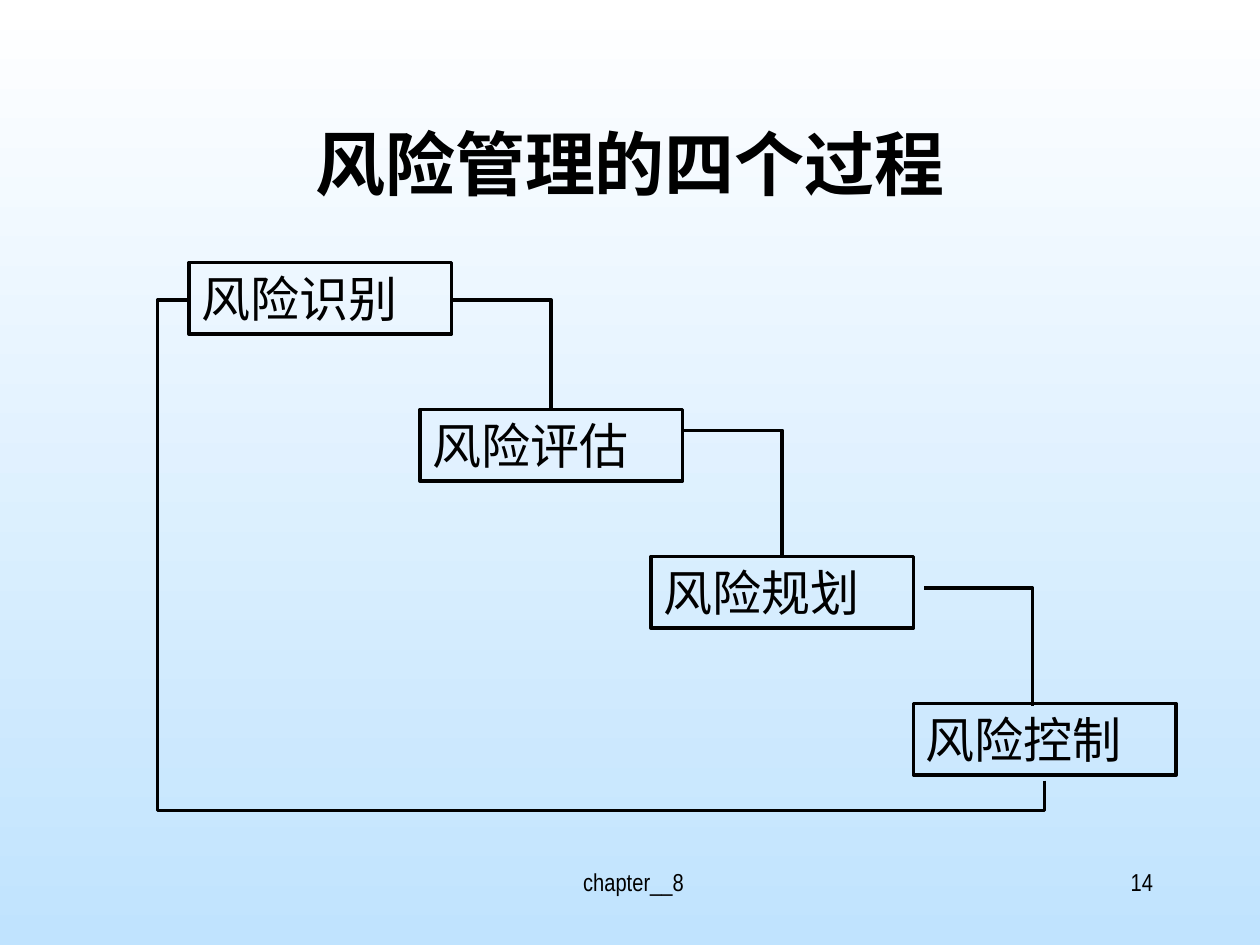
from dataclasses import dataclass

import pptx
import pptx.dml.color
import pptx.enum.shapes
import pptx.enum.text
import pptx.oxml
import pptx.oxml.ns
import pptx.util

Pt = pptx.util.Pt
Align = pptx.enum.text.PP_ALIGN
Point = tuple[float, float]


@dataclass(frozen=True)
class Theme:
    ink: pptx.dml.color.RGBColor = pptx.dml.color.RGBColor(0, 0, 0)
    sky_top: pptx.dml.color.RGBColor = pptx.dml.color.RGBColor(0xFF, 0xFF, 0xFF)
    sky_bottom: pptx.dml.color.RGBColor = pptx.dml.color.RGBColor(0xC0, 0xE3, 0xFE)
    latin_font: str = "Arial Narrow"
    chinese_font: str = "Noto Sans CJK SC"
    title_size: float = 40
    step_size: float = 28
    footer_size: float = 14
    line_width: float = 2


@dataclass(frozen=True)
class Label:
    text: str
    left: float
    top: float
    width: float
    height: float
    size: float
    font: str
    align: Align
    bold: bool = False


@dataclass(frozen=True)
class Elbow:
    start: Point
    end: Point


THEME = Theme()
STEP_WIDTH, STEP_HEIGHT = 150, 41
FIRST_TOP, STEP_PITCH = 150, 84
STEP_LEFTS = (108, 240, 372, 522)
STEP_NAMES = ("风险识别", "风险评估", "风险规划", "风险控制")

LABELS = (
    Label("chapter__8", 248, 492, 228, 36, THEME.footer_size, THEME.latin_font, Align.CENTER),
    Label("14", 516, 492, 150, 36, THEME.footer_size, THEME.latin_font, Align.RIGHT),
    Label("风险管理的四个过程", 54, 48, 612, 90, THEME.title_size, THEME.chinese_font,
          Align.CENTER, True),
)
STEPS = tuple(
    Label(name, left, FIRST_TOP + index * STEP_PITCH, STEP_WIDTH, STEP_HEIGHT,
          THEME.step_size, THEME.latin_font, Align.LEFT)
    for index, (name, left) in enumerate(zip(STEP_NAMES, STEP_LEFTS))
)
ELBOWS = (
    Elbow((259, 171.4), (315, 233.5)),
    Elbow((390, 246), (447, 317)),
    Elbow((528, 336), (590, 403.5)),
)
FEEDBACK_LOOP = ((597, 446), (597, 463), (90, 463), (90, 171.4), (107, 171.4))


def write_text(shape, label: Label) -> None:
    frame = shape.text_frame
    frame.word_wrap = True
    paragraph = frame.paragraphs[0]
    paragraph.alignment = label.align
    run = paragraph.add_run()
    run.text = label.text
    run.font.name = label.font
    run.font.size = Pt(label.size)
    run.font.bold = label.bold
    run.font.color.rgb = THEME.ink
    east_asian = pptx.oxml.parse_xml(
        f'<a:ea {pptx.oxml.ns.nsdecls("a")} typeface="{THEME.chinese_font}"/>'
    )
    run.font._element.find(pptx.oxml.ns.qn("a:latin")).addnext(east_asian)


def style_line(line) -> None:
    line.color.rgb = THEME.ink
    line.width = Pt(THEME.line_width)


def frame_of(label: Label) -> tuple:
    return Pt(label.left), Pt(label.top), Pt(label.width), Pt(label.height)


def add_label(slide, label: Label) -> None:
    shape = slide.shapes.add_textbox(*frame_of(label))
    shape.text_frame.vertical_anchor = (
        pptx.enum.text.MSO_ANCHOR.MIDDLE if label.bold else pptx.enum.text.MSO_ANCHOR.TOP
    )
    write_text(shape, label)


def add_step(slide, step: Label) -> None:
    shape = slide.shapes.add_shape(pptx.enum.shapes.MSO_SHAPE.RECTANGLE, *frame_of(step))
    shape.shadow.inherit = False
    shape.fill.background()
    style_line(shape.line)
    shape.text_frame.vertical_anchor = pptx.enum.text.MSO_ANCHOR.TOP
    shape.text_frame.auto_size = pptx.enum.text.MSO_AUTO_SIZE.SHAPE_TO_FIT_TEXT
    write_text(shape, step)


def add_elbow(slide, elbow: Elbow) -> None:
    """Draw a connector with one bend: across, then down."""
    connector = slide.shapes.add_connector(
        pptx.enum.shapes.MSO_CONNECTOR.ELBOW,
        *(Pt(value) for value in elbow.start + elbow.end),
    )
    style_line(connector.line)
    properties = connector._element.spPr
    properties.find(pptx.oxml.ns.qn("a:prstGeom")).set("prst", "bentConnector2")
    properties.append(
        pptx.oxml.parse_xml(f'<a:effectLst {pptx.oxml.ns.nsdecls("a")}/>')
    )


def add_open_path(slide, points: tuple[Point, ...]) -> None:
    corners = [(Pt(x), Pt(y)) for x, y in points]
    builder = slide.shapes.build_freeform(*corners[0])
    builder.add_line_segments(corners[1:], close=False)
    shape = builder.convert_to_shape()
    shape.shadow.inherit = False
    shape.fill.background()
    style_line(shape.line)


def paint_background(slide) -> None:
    fill = slide.background.fill
    fill.gradient()
    fill.gradient_angle = 270
    colours = (THEME.sky_top, THEME.sky_bottom)
    for stop, position, colour in zip(fill.gradient_stops, (0, 1), colours):
        stop.position = position
        stop.color.rgb = colour


def main() -> None:
    presentation = pptx.Presentation()
    presentation.slide_width = Pt(720)
    presentation.slide_height = Pt(540)
    slide = presentation.slides.add_slide(presentation.slide_layouts[6])
    paint_background(slide)
    for label in LABELS:
        add_label(slide, label)
    for step in STEPS:
        add_step(slide, step)
    for elbow in ELBOWS:
        add_elbow(slide, elbow)
    add_open_path(slide, FEEDBACK_LOOP)
    presentation.save("out.pptx")


if __name__ == "__main__":
    main()
